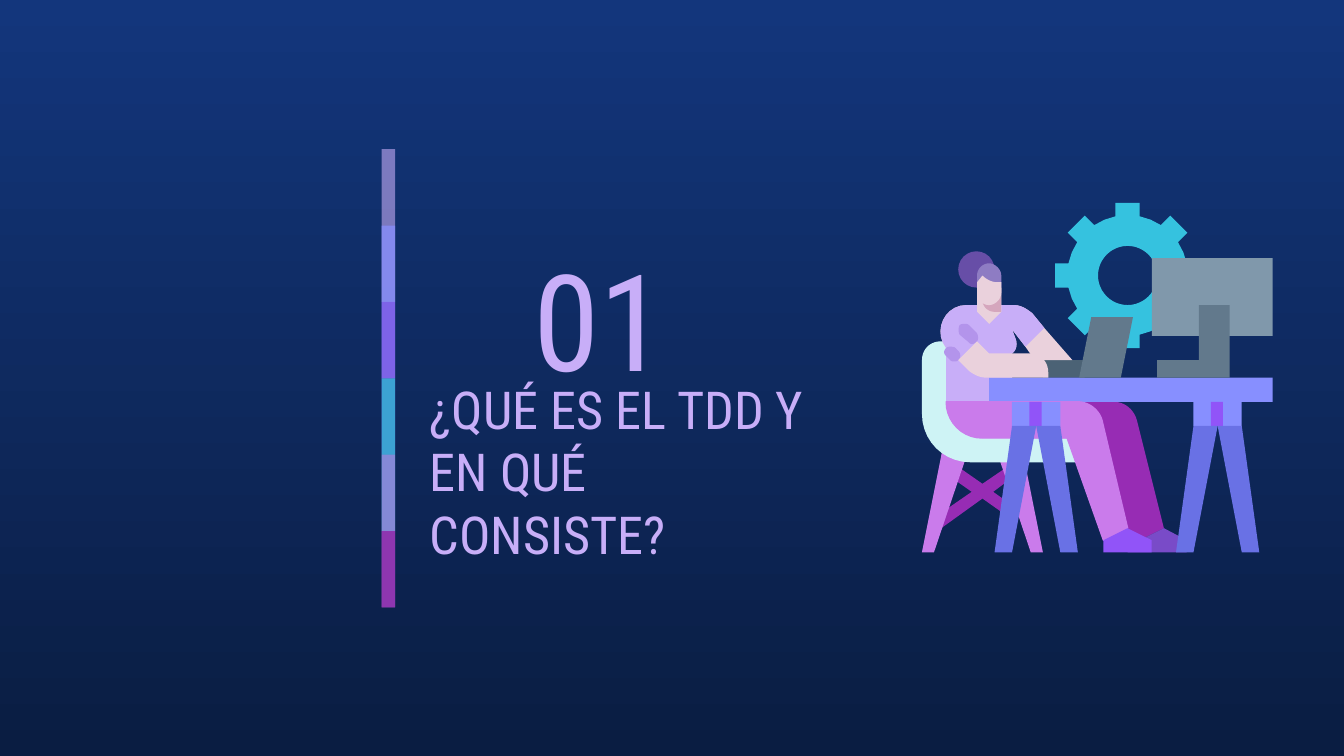
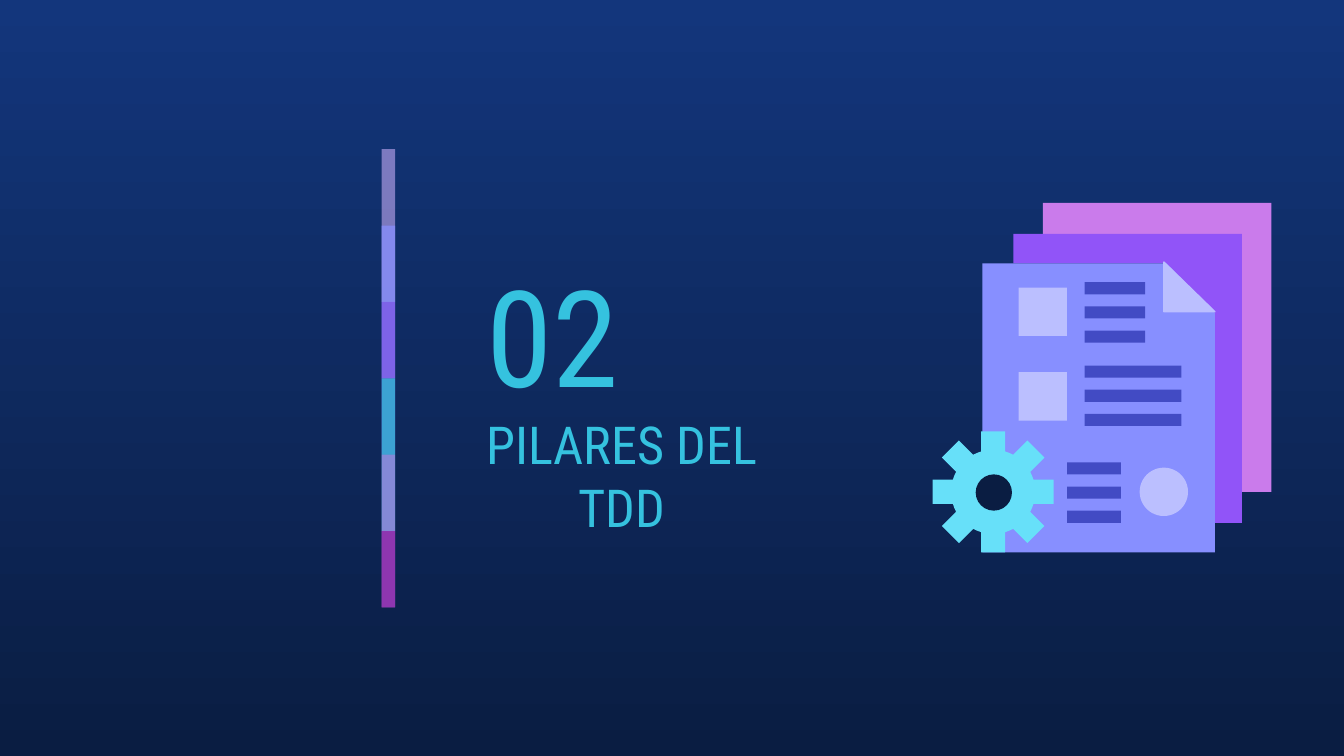
from math import cos, pi, sin

from lxml import etree
from pptx import Presentation
from pptx.dml.color import RGBColor
from pptx.enum.shapes import MSO_SHAPE
from pptx.enum.text import MSO_ANCHOR, PP_ALIGN
from pptx.oxml.ns import qn
from pptx.util import Inches, Pt

RECT, OVAL = MSO_SHAPE.RECTANGLE, MSO_SHAPE.OVAL
MIDDLE = MSO_ANCHOR.MIDDLE
LEFT, CENTER = PP_ALIGN.LEFT, PP_ALIGN.CENTER
FONT = "Roboto Condensed"
SLIDE_W = 10
SLIDE_H = SLIDE_W * 9 / 16

NAVY_TOP, NAVY = "13367C", "0A1D42"
LILAC, CYAN, SKY = "C8AEF8", "35C2DF", "67E0F9"
PERIWINKLE, VIOLET, ORCHID, PURPLE = "878FFF", "9154F8", "CA7BEB", "972CB4"
SKIN, SLEEVE, STEEL, SLATE = "EAD1DC", "B394EB", "62798C", "8098AB"
INDIGO, LEG, PALE = "424BC4", "6971E5", "BBBFFF"
KEYS, SEAT, SHOE, CHIN = "4B6275", "CEF3F5", "794BC8", "D5A6BD"
BUN, HAIR = "674EA7", "8E7CC3"

BAND = [(LILAC, 59), (PERIWINKLE, 74), (VIOLET, 53), (CYAN, 76), (ORCHID, 56), (PURPLE, 74)]
BAND_TOP, BAND_BOTTOM = 1.11, 4.52
BAND_STEP = (BAND_BOTTOM - BAND_TOP) / len(BAND)
CURVE_STEPS = 10

CHAIR = [
    (PURPLE, "M 7.11 3.46 L 7.06 3.54 L 7.23 3.66 L 6.94 3.86 L 6.99 3.94 L 7.31 3.71 "
             "L 7.48 3.83 L 7.53 3.76 L 7.39 3.66 L 7.55 3.54 L 7.5 3.47 L 7.31 3.6"),
    (ORCHID, "M 7.4 3.31 L 7.67 4.11 L 7.76 4.11 L 7.6 3.31"),
    (ORCHID, "M 7.02 3.31 L 6.86 4.11 L 6.95 4.11 L 7.22 3.31"),
    (SEAT, "M 7 2.54 C 6.92 2.54 6.86 2.6 6.86 2.68 L 6.86 3.08 C 6.86 3.28 7.02 3.44 7.22 3.44 "
           "L 8.07 3.44 L 8.07 3.22 L 7.31 3.22 C 7.19 3.22 7.09 3.12 7.09 2.99 L 7.09 2.54"),
]
BACK_LEG = [
    (PURPLE, "M 7.31 2.99 C 7.31 3.14 7.43 3.26 7.58 3.26 L 8.21 3.26 L 8.39 4.02 L 8.48 4.02 "
             "L 8.66 3.93 L 8.46 3.13 C 8.44 3.05 8.37 2.99 8.29 2.99"),
    (SHOE, "M 8.66 3.93 L 8.48 4.02 L 8.39 4.02 L 8.39 4.11 L 8.83 4.11 L 8.83 4.02"),
]
TORSO_START = ("M 7.19 2.27 C 7.03 2.27 6.94 2.46 7.04 2.59 L 7.04 2.99 L 7.53 2.99 L 7.53 2.63 "
               "C 7.56 2.61 7.57 2.57 7.56 2.53 L 7.53 2.45 L 7.63 2.58 ")
TORSO_END = "L 7.77 2.44 L 7.68 2.33 C 7.64 2.3 7.6 2.27 7.54 2.27"
TORSO = [
    (SKIN, TORSO_START + "L 7.7 2.68 L 7.98 2.68 " + TORSO_END),
    (LILAC, TORSO_START + TORSO_END),
]
ARM = [
    (SLEEVE, "M 7.07 2.58 C 7.06 2.58 7.05 2.58 7.04 2.59 C 7.02 2.61 7.02 2.63 7.04 2.65 "
             "L 7.07 2.68 C 7.08 2.69 7.09 2.69 7.1 2.69 C 7.11 2.69 7.12 2.69 7.13 2.68 "
             "C 7.15 2.66 7.15 2.63 7.13 2.61 L 7.11 2.59 C 7.1 2.58 7.08 2.58 7.07 2.58"),
    (SLEEVE, "M 7.18 2.41 C 7.17 2.41 7.15 2.41 7.14 2.42 C 7.13 2.44 7.13 2.47 7.14 2.49 "
             "L 7.2 2.54 C 7.21 2.55 7.22 2.56 7.23 2.56 C 7.25 2.56 7.26 2.55 7.27 2.54 "
             "C 7.28 2.53 7.28 2.5 7.27 2.48 L 7.21 2.42 C 7.2 2.41 7.19 2.41 7.18 2.41"),
    (SKIN, "M 7.27 2.14 L 7.27 2.32 L 7.36 2.41 L 7.45 2.32 L 7.45 2.14"),
    (SKIN, "M 7.27 2.54 L 7.13 2.68 L 7.21 2.76 C 7.25 2.79 7.29 2.81 7.34 2.81 L 7.8 2.81 "
           "L 7.8 2.77 C 7.8 2.69 7.74 2.63 7.67 2.63 L 7.36 2.63"),
]
LAPTOP_LID = [(STEEL, "M 8.12 2.36 L 8.03 2.81 L 8.34 2.81 L 8.43 2.36")]
FRONT_LEG = ("M 7.04 2.99 C 7.04 3.14 7.16 3.26 7.31 3.26 L 7.94 3.26 L 8.21 4.02 "
             "L 8.39 3.93 L 8.2 3.13 C 8.18 3.05 8.1 2.99 8.02 2.99")
FRONT_SHOE = "M 8.39 3.93 L 8.21 4.02 L 8.21 4.11 L 8.57 4.11 L 8.57 4.02"
MONITOR_STAND = "M 8.92 2.27 L 8.92 2.68 L 8.61 2.68 L 8.61 2.81 L 9.15 2.81 L 9.15 2.27"
NECK = "M 7.31 2.14 L 7.31 2.23 C 7.31 2.28 7.35 2.32 7.4 2.32 L 7.45 2.32 L 7.45 2.14"
HEAD = [
    (HAIR, "M 7.36 1.96 C 7.31 1.96 7.27 2 7.27 2.05 L 7.27 2.14 L 7.45 2.14 L 7.45 2.05 "
           "C 7.45 2 7.4 1.96 7.36 1.96"),
    (SKIN, "M 7.31 2.05 L 7.27 2.1 L 7.27 2.18 C 7.27 2.23 7.31 2.27 7.36 2.27 "
           "C 7.4 2.27 7.45 2.23 7.45 2.18 L 7.45 2.1 L 7.42 2.1 C 7.38 2.1 7.34 2.08 7.31 2.05"),
]
SHEETS = [
    (ORCHID, "M 7.76 1.51 L 7.76 1.74 L 9.24 1.74 L 9.24 3.66 L 9.46 3.66 L 9.46 1.51"),
    (VIOLET, "M 7.54 1.74 L 7.54 1.96 L 8.66 1.96 L 9.01 2.32 L 9.01 3.89 L 9.24 3.89 L 9.24 1.74"),
    (PERIWINKLE, "M 7.31 1.96 L 7.31 4.11 L 9.04 4.11 L 9.04 2.33 L 8.68 1.96"),
]
FOLD = "M 8.66 1.95 L 8.66 2.32 L 9.04 2.32"
TEXT_LINES = [(8.07, 2.1, 0.45), (8.07, 2.72, 0.72), (7.94, 3.44, 0.4)]


def rgb(color):
    return RGBColor.from_string(color)


def paint(sp, color, line=None):
    sp.shadow.inherit = False
    sp.fill.solid()
    sp.fill.fore_color.rgb = rgb(color)
    if line:
        sp.line.color.rgb = rgb(line)
        sp.line.width = Pt(0.75)
    else:
        sp.line.fill.background()


def preset(s, kind, color, x, y, w, h):
    sp = s.shapes.add_shape(kind, Inches(x), Inches(y), Inches(w), Inches(h))
    paint(sp, color)
    return sp


def rect(s, color, x, y, w, h):
    return preset(s, RECT, color, x, y, w, h)


def circle(s, color, x, y, size):
    return preset(s, OVAL, color, x, y, size, size)


def polygon(s, color, contours, line=None):
    contours = [[(Inches(x), Inches(y)) for x, y in c] for c in contours]
    builder = s.shapes.build_freeform(*contours[0][0], scale=1.0)
    for i, contour in enumerate(contours):
        if i:
            builder.move_to(*contour[0])
        builder.add_line_segments(contour[1:], close=True)
    paint(builder.convert_to_shape(), color, line)


def bezier(p0, p1, p2, p3):
    points = []
    for i in range(1, CURVE_STEPS + 1):
        t = i / CURVE_STEPS
        u = 1 - t
        points.append(tuple(u**3 * a + 3 * u * u * t * b + 3 * u * t * t * c + t**3 * d
                            for a, b, c, d in zip(p0, p1, p2, p3)))
    return points


def outline(s, color, d, line=None):
    tokens = iter(d.split())
    points = []
    for command in tokens:
        count = 3 if command == "C" else 1
        ends = [(float(next(tokens)), float(next(tokens))) for _ in range(count)]
        points += bezier(points[-1], *ends) if command == "C" else ends
    polygon(s, color, [points], line)


def outlines(s, items):
    for color, d in items:
        outline(s, color, d)


def ring(cx, cy, radius, count=48):
    angles = [2 * pi * i / count for i in range(count)]
    return [(cx + radius * cos(a), cy + radius * sin(a)) for a in angles]


def gear(s, color, cx, cy, outer, root, hole=None, half=0.09):
    points = []
    for k in range(8):
        a = k * pi / 4
        for along, across in ((root, -half), (outer, -half), (outer, half), (root, half)):
            points.append((cx + along * cos(a) - across * sin(a),
                           cy + along * sin(a) + across * cos(a)))
        body = (root**2 + half**2) ** 0.5
        gap = a + pi / 8
        points.append((cx + body * cos(gap), cy + body * sin(gap)))
    polygon(s, color, [points] + ([ring(cx, cy, hole)] if hole else []))


def trestle(s, x):
    rect(s, PERIWINKLE, x, 2.99, 0.36, 0.18)
    rect(s, VIOLET, x + 0.13, 2.99, 0.09, 0.18)
    for offsets in ((0, -0.13, 0, 0.18), (0.18, 0.36, 0.49, 0.36)):
        polygon(s, LEG, [[(x + dx, y) for dx, y in zip(offsets, (3.17, 4.11, 4.11, 3.17))]])


def band(s):
    for i, (color, alpha) in enumerate(BAND):
        y = BAND_TOP + i * BAND_STEP
        sp = rect(s, color, 2.84, y, 0.1, min(2 * BAND_STEP, BAND_BOTTOM - y))
        clr = sp.fill._xPr.find(qn("a:solidFill"))[0]
        etree.SubElement(clr, qn("a:alpha"), val=str(alpha * 1000))


def text(s, words, x, y, w, h, size, color, align=LEFT):
    tf = s.shapes.add_textbox(Inches(x), Inches(y), Inches(w), Inches(h)).text_frame
    tf.word_wrap = True
    tf.vertical_anchor = MIDDLE
    tf.margin_left = tf.margin_right = tf.margin_top = tf.margin_bottom = Inches(0.1)
    p = tf.paragraphs[0]
    p.alignment = align
    r = p.add_run()
    r.text = words
    r.font.name = FONT
    r.font.size = Pt(size)
    r.font.color.rgb = rgb(color)


def section(prs, color, number, number_at, title, title_at, align=LEFT):
    s = prs.slides.add_slide(prs.slide_layouts[6])
    band(s)
    text(s, number, *number_at, 1.75, 1.35, 72, color)
    text(s, title, *title_at, 0.67, 28, color, align)
    return s


def desk_scene(s):
    gear(s, CYAN, 8.39, 2.05, 0.54, 0.44, hole=0.22)
    rect(s, KEYS, 7.76, 2.68, 0.31, 0.13)
    outlines(s, CHAIR + BACK_LEG + TORSO)
    rect(s, PERIWINKLE, 7.36, 2.81, 2.11, 0.18)
    outlines(s, ARM + LAPTOP_LID)
    outline(s, ORCHID, FRONT_LEG, ORCHID)
    outline(s, VIOLET, FRONT_SHOE)
    rect(s, SLATE, 8.57, 1.92, 0.9, 0.58)
    outline(s, STEEL, MONITOR_STAND)
    for x in (8.88, 7.53):
        trestle(s, x)
    outline(s, CHIN, NECK)
    circle(s, BUN, 7.13, 1.87, 0.27)
    outlines(s, HEAD)


def document_scene(s):
    outlines(s, SHEETS)
    gear(s, SKY, 7.39, 3.66, 0.45, 0.3)
    circle(s, NAVY, 7.26, 3.53, 0.27)
    for y in (2.14, 2.77):
        rect(s, PALE, 7.58, y, 0.36, 0.36)
    circle(s, PALE, 8.48, 3.48, 0.36)
    for x, y, w in TEXT_LINES:
        for i in range(3):
            rect(s, INDIGO, x, y + i * 0.18, w, 0.09)
    outline(s, PALE, FOLD, PALE)


def background(prs):
    fill = prs.slide_master.background.fill
    fill.gradient()
    fill.gradient_angle = 270
    for stop, color in zip(fill.gradient_stops, (NAVY_TOP, NAVY)):
        stop.color.rgb = rgb(color)


def main():
    prs = Presentation()
    prs.slide_width, prs.slide_height = Inches(SLIDE_W), Inches(SLIDE_H)
    background(prs)
    desk_scene(section(prs, LILAC, "01", (3.87, 1.69),
                       "¿QUÉ ES EL TDD Y EN QUÉ CONSISTE?", (3.1, 3.17, 3.03)))
    document_scene(section(prs, CYAN, "02", (3.52, 1.81),
                           "PILARES DEL TDD", (3.19, 3.2, 2.87), CENTER))
    prs.save("out.pptx")


main()
